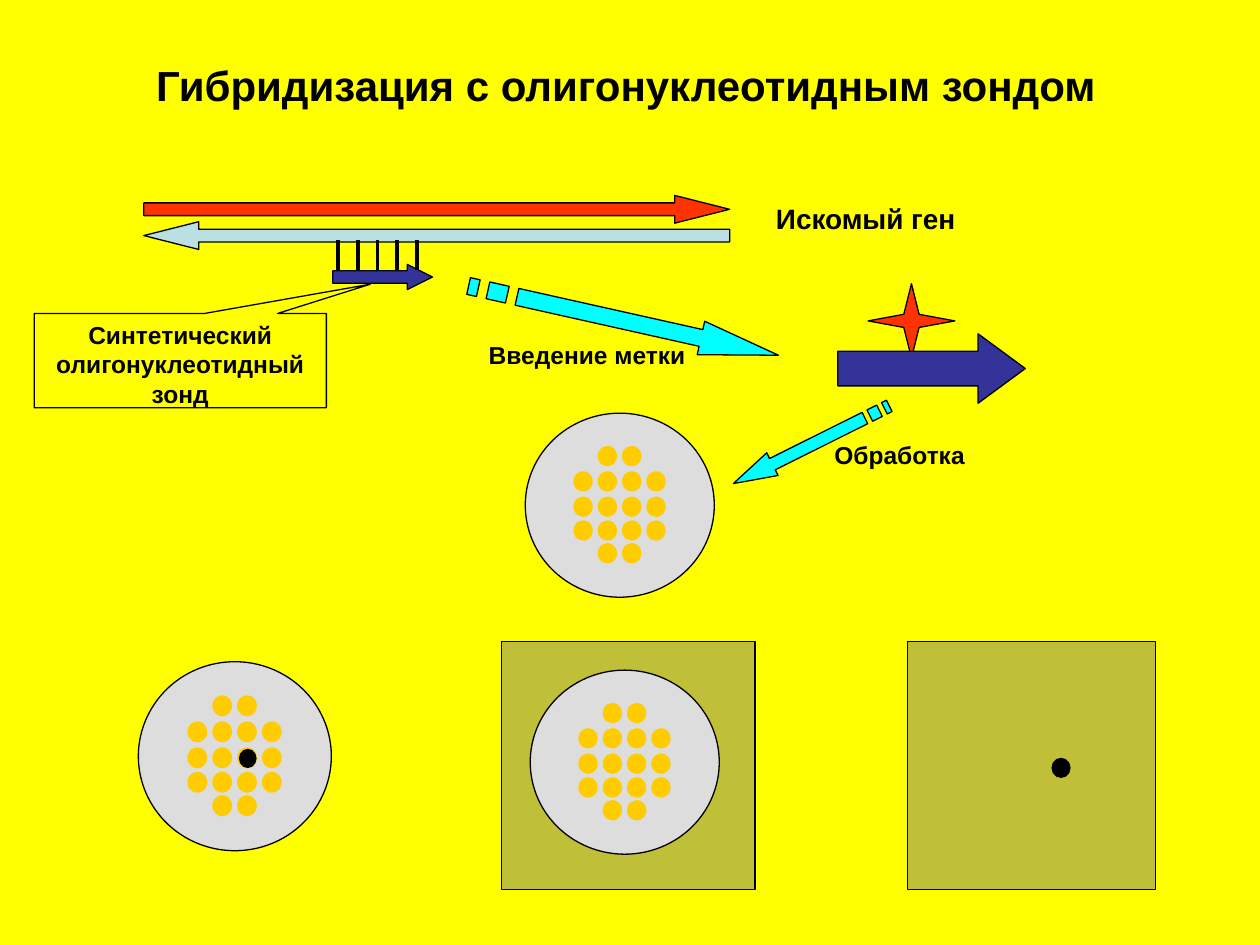
"""Build the slide on hybridization with an oligonucleotide probe."""
import dataclasses

import lxml.etree
import pptx
import pptx.dml.color
import pptx.enum.shapes
import pptx.enum.text
import pptx.oxml.ns
import pptx.util

Cm = pptx.util.Cm
Pt = pptx.util.Pt
Kind = pptx.enum.shapes.MSO_SHAPE
Align = pptx.enum.text.PP_ALIGN
qn = pptx.oxml.ns.qn


@dataclasses.dataclass(frozen=True)
class Theme:
    back: str = "FFFF00"
    ink: str = "000000"
    gene: str = "FF3300"
    strand: str = "BBE0E3"
    probe: str = "333399"
    step: str = "00FFFF"
    dish: str = "DDDDDD"
    dot: str = "FFCC00"
    film: str = "777777"
    clear: int = 47
    face: str = "Arial"
    head: int = 24
    name: int = 16
    note: int = 14
    thin: float = 0.75
    bond: float = 2.25


LOOK = Theme()


def rgb(hue):
    return pptx.dml.color.RGBColor.from_string(hue)


def apply(item, values):
    for key, value in values.items():
        setattr(item, key, value)


def paint(shape, hue, edge=True):
    shape.shadow.inherit = False
    if hue:
        shape.fill.solid()
        shape.fill.fore_color.rgb = rgb(hue)
    else:
        shape.fill.background()
    if edge:
        shape.line.color.rgb = rgb(LOOK.ink)
        shape.line.width = Pt(LOOK.thin)
    else:
        shape.line.fill.background()


def add_form(shapes, kind, box, hue, edge=True, adjust=()):
    form = shapes.add_shape(kind, *map(Cm, box))
    paint(form, hue, edge)
    for spot, value in enumerate(adjust):
        form.adjustments[spot] = value
    return form


def write(shape, words, size, align, wrap=False):
    fit = pptx.enum.text.MSO_AUTO_SIZE
    frame = shape.text_frame
    apply(frame, {
        "word_wrap": wrap,
        "auto_size": fit.NONE if wrap else fit.SHAPE_TO_FIT_TEXT,
        "vertical_anchor": pptx.enum.text.MSO_ANCHOR.TOP,
        "margin_left": Cm(0.25), "margin_right": Cm(0.25),
        "margin_top": Cm(0.13), "margin_bottom": Cm(0.13),
    })
    para = frame.paragraphs[0]
    para.alignment = align
    run = para.add_run()
    run.text = words
    apply(run.font, {"name": LOOK.face, "size": Pt(size), "bold": True})
    run.font.color.rgb = rgb(LOOK.ink)


def add_label(shapes, box, words, size, align):
    write(shapes.add_textbox(*map(Cm, box)), words, size, align)


def add_bonds(shapes, left, top, base, gap, count):
    group = shapes.add_group_shape().shapes
    for step in range(count):
        x = Cm(left + step * gap)
        bond = group.add_connector(
            pptx.enum.shapes.MSO_CONNECTOR.STRAIGHT, x, Cm(top), x, Cm(base))
        bond.line.color.rgb = rgb(LOOK.ink)
        bond.line.width = Pt(LOOK.bond)
        lxml.etree.SubElement(bond._element.spPr, qn("a:effectLst"))


def add_step(shapes, box, turn):
    left, top, width, height = box
    body = [(5 / 32, 1 / 4), (3 / 4, 1 / 4), (3 / 4, 0), (1, 1 / 2),
            (3 / 4, 1), (3 / 4, 3 / 4), (5 / 32, 3 / 4)]
    bars = [[(a, 1 / 4), (b, 1 / 4), (b, 3 / 4), (a, 3 / 4)]
            for a, b in ((0, 1 / 32), (1 / 16, 1 / 8))]
    pen = None
    for part in [body, *bars]:
        path = [(Cm(x * width), Cm(y * height)) for x, y in part]
        if pen is None:
            pen = shapes.build_freeform(*path[0])
        else:
            pen.move_to(*path[0])
        pen.add_line_segments(path[1:], close=True)
    step = pen.convert_to_shape(Cm(left), Cm(top))
    paint(step, LOOK.step)
    step.rotation = turn


def add_dish(shapes, box):
    left, top, width, height = box
    wide, high = width / 3.81, height / 3.71
    group = shapes.add_group_shape().shapes
    add_form(group, Kind.OVAL, box, LOOK.dish)
    rows = {0.66: (1, 2), 1.17: range(4), 1.68: range(4),
            2.16: range(4), 2.62: (1, 2)}
    for y, cols in rows.items():
        for col in cols:
            spot = (left + (0.97 + 0.49 * col) * wide, top + y * high,
                    0.39 * wide, 0.41 * high)
            add_form(group, Kind.OVAL, spot, LOOK.dot, edge=False)
    return group


def add_film(shapes, box):
    film = add_form(shapes, Kind.RECTANGLE, box, LOOK.film)
    tint = film._element.spPr.find(qn("a:solidFill"))[0]
    lxml.etree.SubElement(tint, qn("a:alpha"), val=str(LOOK.clear * 1000))


def add_probe(shapes):
    gene = shapes.add_group_shape().shapes
    add_form(gene, Kind.LEFT_ARROW, (2.9, 4.47, 11.81, 0.56), LOOK.strand,
             adjust=(0.46, 1.98))
    add_form(gene, Kind.RIGHT_ARROW, (2.9, 3.94, 11.81, 0.56), LOOK.gene,
             adjust=(0.46, 1.98))
    add_label(shapes, (15.37, 3.94, 4.14, 0.94), "Искомый ген",
              LOOK.name, Align.RIGHT)
    add_form(shapes, Kind.RIGHT_ARROW, (6.71, 5.33, 2.01, 0.51), LOOK.probe,
             adjust=(0.5, 1))
    add_bonds(shapes, 6.81, 4.83, 5.44, 0.4, 5)
    note = add_form(shapes, Kind.RECTANGULAR_CALLOUT,
                    (0.69, 6.32, 5.89, 1.9), None, adjust=(0.65, -0.81))
    write(note, "Синтетический олигонуклеотидный зонд",
          LOOK.note, Align.CENTER, wrap=True)


def add_mark(shapes):
    add_form(shapes, Kind.STAR_4_POINT, (17.5, 5.72, 1.75, 1.5), LOOK.gene,
             adjust=(0.125,))
    add_form(shapes, Kind.RIGHT_ARROW, (16.89, 6.73, 3.78, 1.4), LOOK.probe,
             adjust=(0.5, 0.68))
    add_label(shapes, (9.6, 6.73, 4.47, 0.86), "Введение метки",
              LOOK.note, Align.RIGHT)
    add_step(shapes, (9.37, 6.12, 6.4, 0.69), 12.6)


def add_test(shapes):
    add_dish(shapes, (10.59, 8.33, 3.81, 3.71))
    add_step(shapes, (14.6, 8.71, 3.51, 0.51), 153.5)
    add_label(shapes, (16.56, 8.74, 3.15, 0.86), "Обработка",
              LOOK.note, Align.CENTER)
    found = add_dish(shapes, (2.79, 13.34, 3.89, 3.81))
    add_form(found, Kind.OVAL, (4.83, 15.11, 0.33, 0.36), LOOK.ink)
    add_film(shapes, (10.11, 12.93, 5.11, 5))
    shown = shapes.add_group_shape().shapes
    add_film(shown, (18.29, 12.93, 5, 5))
    add_form(shown, Kind.OVAL, (21.21, 15.29, 0.36, 0.38), LOOK.ink)
    add_dish(shapes, (10.69, 13.51, 3.81, 3.71))


def main():
    deck = pptx.Presentation()
    apply(deck, {"slide_width": Cm(25.4), "slide_height": Cm(19.05)})
    slide = deck.slides.add_slide(deck.slide_layouts[6])
    slide.background.fill.solid()
    slide.background.fill.fore_color.rgb = rgb(LOOK.back)
    shapes = slide.shapes
    add_label(shapes, (2.84, 1.07, 19.56, 1.27),
              "Гибридизация с олигонуклеотидным зондом",
              LOOK.head, Align.CENTER)
    add_probe(shapes)
    add_mark(shapes)
    add_test(shapes)
    deck.save("out.pptx")


if __name__ == "__main__":
    main()
